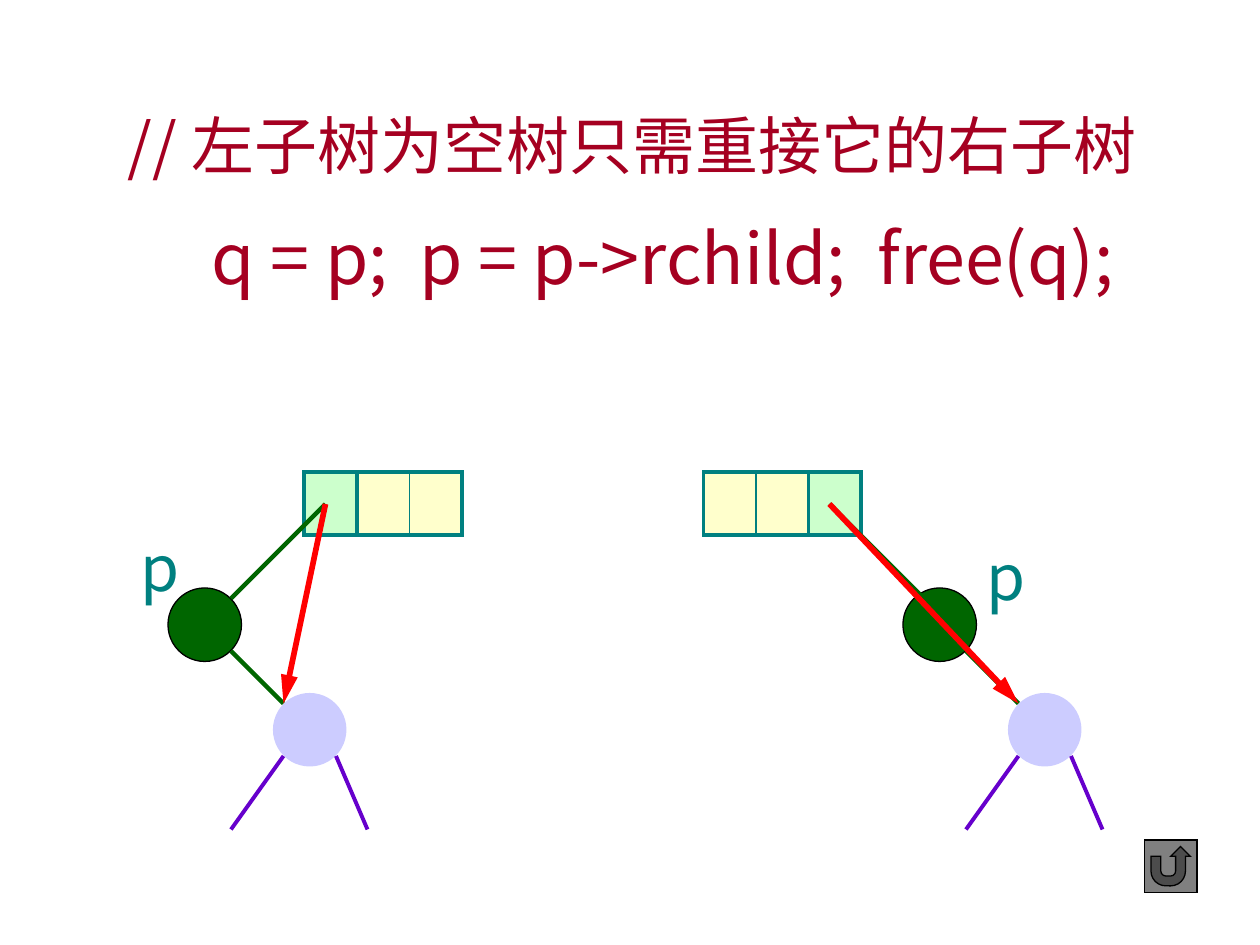
from dataclasses import dataclass

from lxml import etree
from pptx import Presentation
from pptx import util as u
from pptx.dml import color
from pptx.enum import shapes, text
from pptx.oxml import ns

FONT = "Noto Sans CJK SC"
RED, TEAL, GREEN, VIOLET = "A50021", "008080", "006600", "6600CC"
KIND = shapes.MSO_SHAPE
STEP = 2.54 / 12


@dataclass
class Tree:
    slot: float
    rest: float
    node: float
    near: float
    tag: tuple[float, float]


@dataclass
class Note:
    words: str
    box: tuple[float, float, float, float]
    size: float
    tint: str
    gap: float = 1.0


def grid(num: float) -> u.Length:
    return u.Cm(num * STEP)


def paint(target, tint: str) -> None:
    target.rgb = color.RGBColor.from_string(tint)


def shape(slide, kind, box: tuple, fill: str, edge: str = "", width: float = 0.75) -> None:
    item = slide.shapes.add_shape(kind, *map(grid, box))
    item.shadow.inherit = False
    item.fill.solid()
    paint(item.fill.fore_color, fill)
    if edge:
        paint(item.line.color, edge)
        item.line.width = u.Pt(width)
        etree.SubElement(item.line._get_or_add_ln(), ns.qn("a:miter"), lim="800000")
    else:
        item.line.fill.background()


def line(slide, start: tuple, end: tuple, tint: str, width: float, arrow: bool = False) -> None:
    item = slide.shapes.add_connector(
        shapes.MSO_CONNECTOR.STRAIGHT, *map(grid, start + end))
    paint(item.line.color, tint)
    item.line.width = u.Pt(width)
    if arrow:
        etree.SubElement(item.line._get_or_add_ln(), ns.qn("a:tailEnd"),
                         type="triangle", w="med", len="lg")
    etree.SubElement(item._element.spPr, ns.qn("a:effectLst"))


def write(slide, note: Note) -> None:
    frame = slide.shapes.add_textbox(*map(grid, note.box)).text_frame
    frame.word_wrap = True
    frame.auto_size = text.MSO_AUTO_SIZE.NONE
    para = frame.paragraphs[0]
    para.line_spacing = note.gap
    run = para.add_run()
    run.text = note.words
    run.font.size = u.Pt(note.size)
    run.font.name = FONT
    paint(run.font.color, note.tint)
    etree.SubElement(run.font._element, ns.qn("a:ea"), typeface=FONT)


def draw(slide, tree: Tree) -> None:
    left, mid = tree.node, tree.rest + 5
    root, kid = (tree.slot + 2, 48), (left + 11, 67)
    shape(slide, KIND.RECTANGLE, (tree.slot, 45, 5, 6), "CCFFCC", TEAL, 2.25)
    shape(slide, KIND.RECTANGLE, (tree.rest, 45, 10, 6), "FFFFCC", TEAL, 2.25)
    line(slide, (mid, 45), (mid, 51), TEAL, 0.75)
    shape(slide, KIND.OVAL, (left, 56, 7, 7), GREEN, "000000")
    shape(slide, KIND.OVAL, (left + 10, 66, 7, 7), "CCCCFF")
    line(slide, (left + 11, 72), (left + 6, 79), VIOLET, 2.25)
    line(slide, (left + 16, 72), (left + 19, 79), VIOLET, 2.25)
    line(slide, (left + 6, 62), kid, GREEN, 2.5)
    line(slide, root, (tree.near, 57), GREEN, 2.5)
    line(slide, root, kid, "FF0000", 3.25, True)
    write(slide, Note("p", (*tree.tag, 6.1, 8.5), 36, TEAL))


def main() -> None:
    deck = Presentation()
    deck.slide_width, deck.slide_height = u.Cm(25.4), u.Cm(19.05)
    slide = deck.slides.add_slide(deck.slide_layouts[6])
    notes = [
        Note("// 左子树为空树只需重接它的右子树", (11, 6, 103, 11), 36, RED, 1.5),
        Note("q = p;  p = p->rchild;  free(q);", (19, 19.8, 93, 9.2), 40, RED),
    ]
    trees = [
        Tree(29, 34, 16, 22, (12.2, 49.7)),
        Tree(77, 67, 86, 88, (92.8, 50.6)),
    ]
    for note in notes:
        write(slide, note)
    for tree in trees:
        draw(slide, tree)
    shape(slide, KIND.ACTION_BUTTON_RETURN, (109, 80, 5, 5), "808080", "000000")
    deck.save("out.pptx")


if __name__ == "__main__":
    main()
